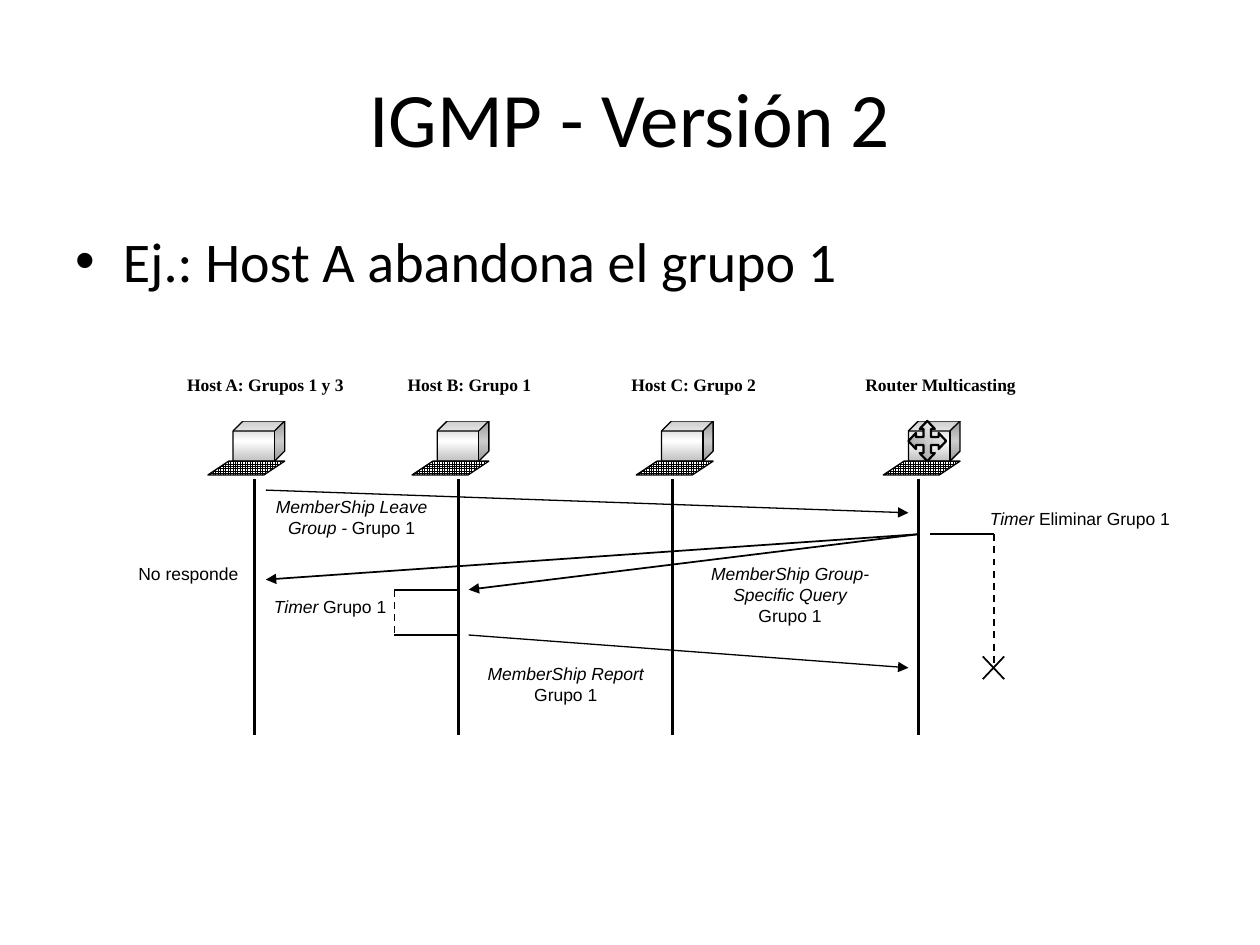
from lxml import etree
from pptx import Presentation
from pptx import util as u
from pptx.dml.color import RGBColor
from pptx.enum import dml, shapes, text
from pptx.oxml import ns

BLACK = RGBColor(0, 0, 0)
WHITE = RGBColor(255, 255, 255)
SILVER = RGBColor(0xC0, 0xC0, 0xC0)
GREY = RGBColor(0x96, 0x96, 0x96)

LIFELINE_TOP, LIFELINE_BOTTOM = 3.8, 5.83
# Station label, left of its monitor, x of its lifeline
STATIONS = [
    ("Host A: Grupos 1 y 3", 1.85, 2.02),
    ("Host B: Grupo 1", 3.47, 3.64),
    ("Host C: Grupo 2", 5.25, 5.34),
    ("Router Multicasting", 7.21, 7.29),
]
# Start, end, width in points
MESSAGES = [
    ((2.11, 3.89), (7.21, 4.07), 0.75),
    ((7.29, 4.24), (2.11, 4.6), 1),
    ((7.29, 4.24), (3.72, 4.68), 1),
    ((3.72, 5.04), (7.21, 5.3), 0.75),
]
# Start, end, dashed
TIMER_LINES = [
    ((3.13, 4.68), (3.64, 4.68), False),
    ((3.13, 5.04), (3.64, 5.04), False),
    ((3.13, 4.68), (3.13, 5.04), True),
    ((7.38, 4.24), (7.89, 4.24), False),
    ((7.89, 4.24), (7.89, 5.3), True),
    ((7.8, 5.21), (7.97, 5.39), False),
    ((7.8, 5.39), (7.97, 5.21), False),
]
# Left, top, width, height, italic part, upright part
NOTES = [
    (1.94, 3.89, 1.7, 0.43, "MemberShip Leave Group -", " Grupo 1"),
    (5.42, 4.42, 1.7, 0.6, "MemberShip Group- Specific Query", "\vGrupo 1"),
    (3.64, 5.21, 1.7, 0.43, "MemberShip Report", " Grupo 1"),
    (1.77, 4.68, 1.7, 0.27, "Timer ", "Grupo 1"),
    (7.72, 3.98, 1.7, 0.27, "Timer ", "Eliminar Grupo 1"),
    (1, 4.42, 0.99, 0.27, "", "No responde"),
]


def inches(*values):
    """Convert numbers to lengths."""
    return [u.Inches(value) for value in values]


def apply_format(target, values):
    """Set every attribute named in a dict of format values."""
    for name, value in values.items():
        setattr(target, name, value)


def add_run(paragraph, words, color=BLACK, **values):
    """Add a formatted run; a leading vertical tab starts a new line."""
    if words.startswith("\v"):
        paragraph.add_line_break()
    run = paragraph.add_run()
    run.text = words.lstrip("\v")
    apply_format(run.font, values)
    run.font.color.rgb = color


def fill_placeholder(placeholder, box, words, size):
    """Place a template placeholder and write its text."""
    apply_format(placeholder, dict(zip(("left", "top", "width", "height"), inches(*box))))
    add_run(placeholder.text_frame.paragraphs[0], words, name="Calibri", size=u.Pt(size))


def set_outline(shape, width):
    """Give a shape a black outline and no shadow."""
    shape.shadow.inherit = False
    shape.line.color.rgb = BLACK
    shape.line.width = u.Pt(width)


def set_gradient(shape, colors, angle):
    """Fill a shape with evenly spaced gradient stops."""
    shape.fill.gradient()
    gradient = shape.fill._xPr.find(ns.qn("a:gradFill"))
    stops = gradient.find(ns.qn("a:gsLst"))
    for stop in list(stops):
        stops.remove(stop)
    for index, color in enumerate(colors):
        position = str(100000 * index // (len(colors) - 1))
        stop = etree.SubElement(stops, ns.qn("a:gs"), pos=position)
        etree.SubElement(stop, ns.qn("a:srgbClr"), val=str(color))
    gradient.find(ns.qn("a:lin")).set("ang", str(angle * 60000))


def add_line(diagram, start, end, width, dashed=False, arrow=False):
    """Draw a straight black line, optionally dashed or with an arrowhead."""
    line = diagram.add_connector(shapes.MSO_CONNECTOR.STRAIGHT, *inches(*start, *end))
    line.line.color.rgb = BLACK
    line.line.width = u.Pt(width)
    if dashed:
        line.line.dash_style = dml.MSO_LINE.DASH
    if arrow:
        etree.SubElement(line.line._get_or_add_ln(), ns.qn("a:tailEnd"), type="triangle")
    etree.SubElement(line._element.spPr, ns.qn("a:effectLst"))


def add_station(diagram, label, left, lifeline):
    """Draw a computer with its label and lifeline."""
    cube = diagram.add_shape(shapes.MSO_SHAPE.CUBE, *inches(left, 3.34, 0.41, 0.32))
    set_outline(cube, 0.75)
    cube.adjustments[0] = 0.25
    set_gradient(cube, [SILVER, WHITE, SILVER], 90)

    keyboard = diagram.add_shape(
        shapes.MSO_SHAPE.PARALLELOGRAM, *inches(left - 0.2, 3.66, 0.61, 0.11))
    set_outline(keyboard, 0.75)
    keyboard.adjustments[0] = 1.5
    keyboard.fill.patterned()
    keyboard.fill.pattern = dml.MSO_PATTERN.SMALL_GRID
    keyboard.fill.fore_color.rgb = BLACK
    keyboard.fill.back_color.rgb = WHITE

    title = diagram.add_shape(
        shapes.MSO_SHAPE.RECTANGLE, *inches(left - 0.51, 2.92, 1.53, 0.42))
    title.shadow.inherit = False
    title.fill.solid()
    title.fill.fore_color.rgb = WHITE
    title.line.fill.background()
    title.text_frame.vertical_anchor = text.MSO_ANCHOR.TOP
    paragraph = title.text_frame.paragraphs[0]
    paragraph.alignment = text.PP_ALIGN.CENTER
    add_run(paragraph, label, name="Times New Roman", size=u.Pt(10), bold=True)

    add_line(diagram, (lifeline, LIFELINE_TOP), (lifeline, LIFELINE_BOTTOM), 1.5)


def add_router_arrows(diagram, center_x, center_y, half_width, half_height):
    """Draw the four-way arrow by turning one arm around the centre."""
    arm = [(0, -1), (-0.4, -0.6), (-0.2, -0.6), (-0.2, -0.2), (-0.6, -0.2), (-0.6, -0.4)]
    outline = []
    for _ in range(4):
        outline += arm
        arm = [(y, -x) for x, y in arm]
    points = [inches(center_x + x * half_width, center_y + y * half_height)
              for x, y in outline]
    builder = diagram.build_freeform(*points[0])
    builder.add_line_segments(points[1:], close=True)
    arrows = builder.convert_to_shape()
    set_outline(arrows, 1.25)
    set_gradient(arrows, [GREY, WHITE], 315)


def add_note(diagram, left, top, width, height, italic, upright):
    """Write a note; a note without an italic part is left aligned on one line."""
    box = diagram.add_textbox(*inches(left, top, width, height))
    box.text_frame.word_wrap = bool(italic)
    box.text_frame.auto_size = text.MSO_AUTO_SIZE.SHAPE_TO_FIT_TEXT
    paragraph = box.text_frame.paragraphs[0]
    paragraph.alignment = text.PP_ALIGN.CENTER if italic else text.PP_ALIGN.LEFT
    for words, slanted in ((italic, True), (upright, False)):
        if words:
            add_run(paragraph, words, name="Arial", size=u.Pt(10), italic=slanted)


def main():
    """Build the slide and save it."""
    presentation = Presentation()
    presentation.slide_width, presentation.slide_height = inches(10, 7.5)
    slide = presentation.slides.add_slide(presentation.slide_layouts[1])
    title, body = slide.placeholders
    fill_placeholder(title, (0.5, 0.3, 9, 1.25), "IGMP - Versión 2", 44)
    fill_placeholder(body, (0.5, 1.75, 9, 4.95), "Ej.: Host A abandona el grupo 1", 32)

    diagram = slide.shapes.add_group_shape().shapes
    for station in STATIONS:
        add_station(diagram, *station)
    add_router_arrows(diagram, 7.36, 3.5, 0.15, 0.16)
    for start, end, width in MESSAGES:
        add_line(diagram, start, end, width, arrow=True)
    for start, end, dashed in TIMER_LINES:
        add_line(diagram, start, end, 1, dashed=dashed)
    for note in NOTES:
        add_note(diagram, *note)
    presentation.save("out.pptx")


main()
